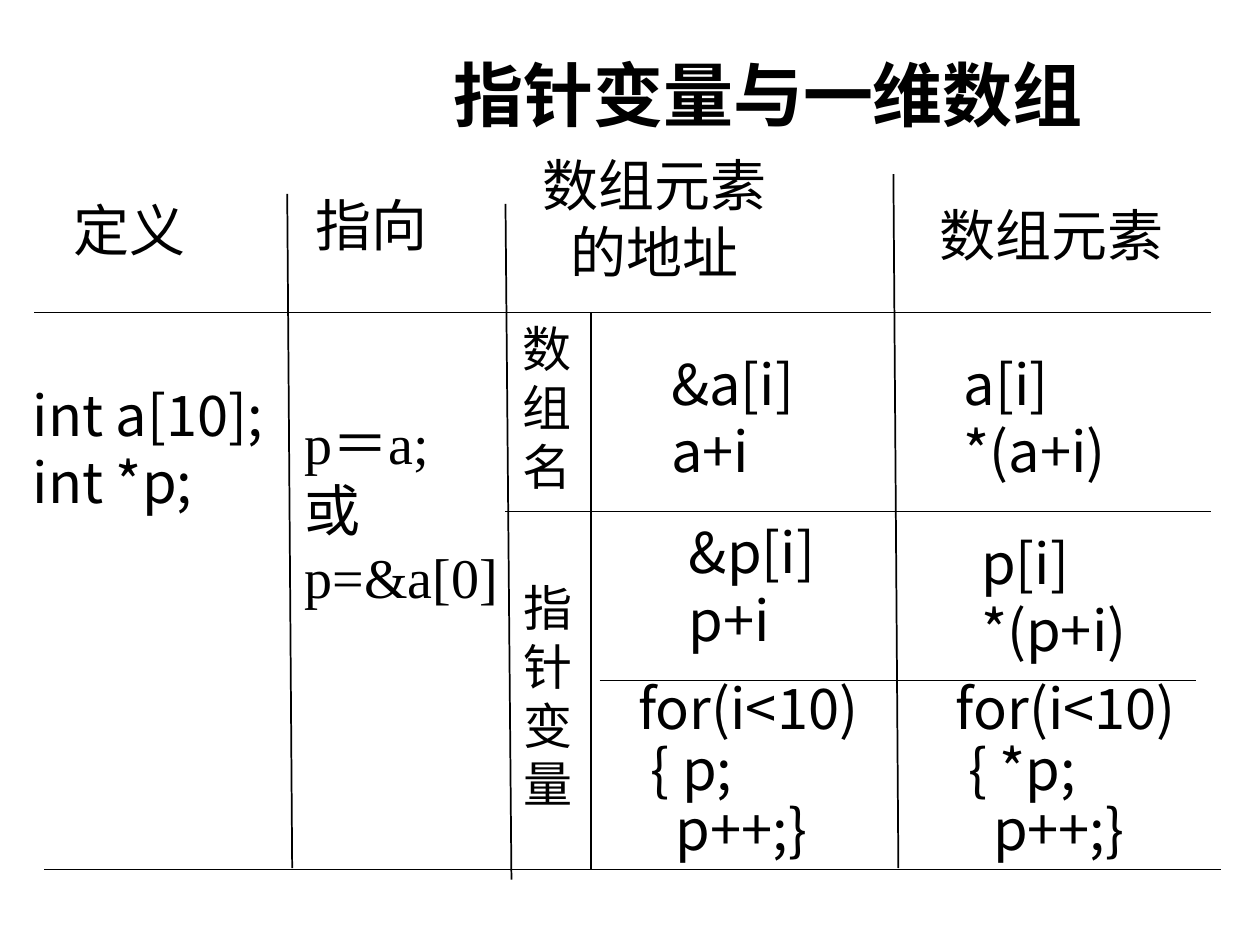
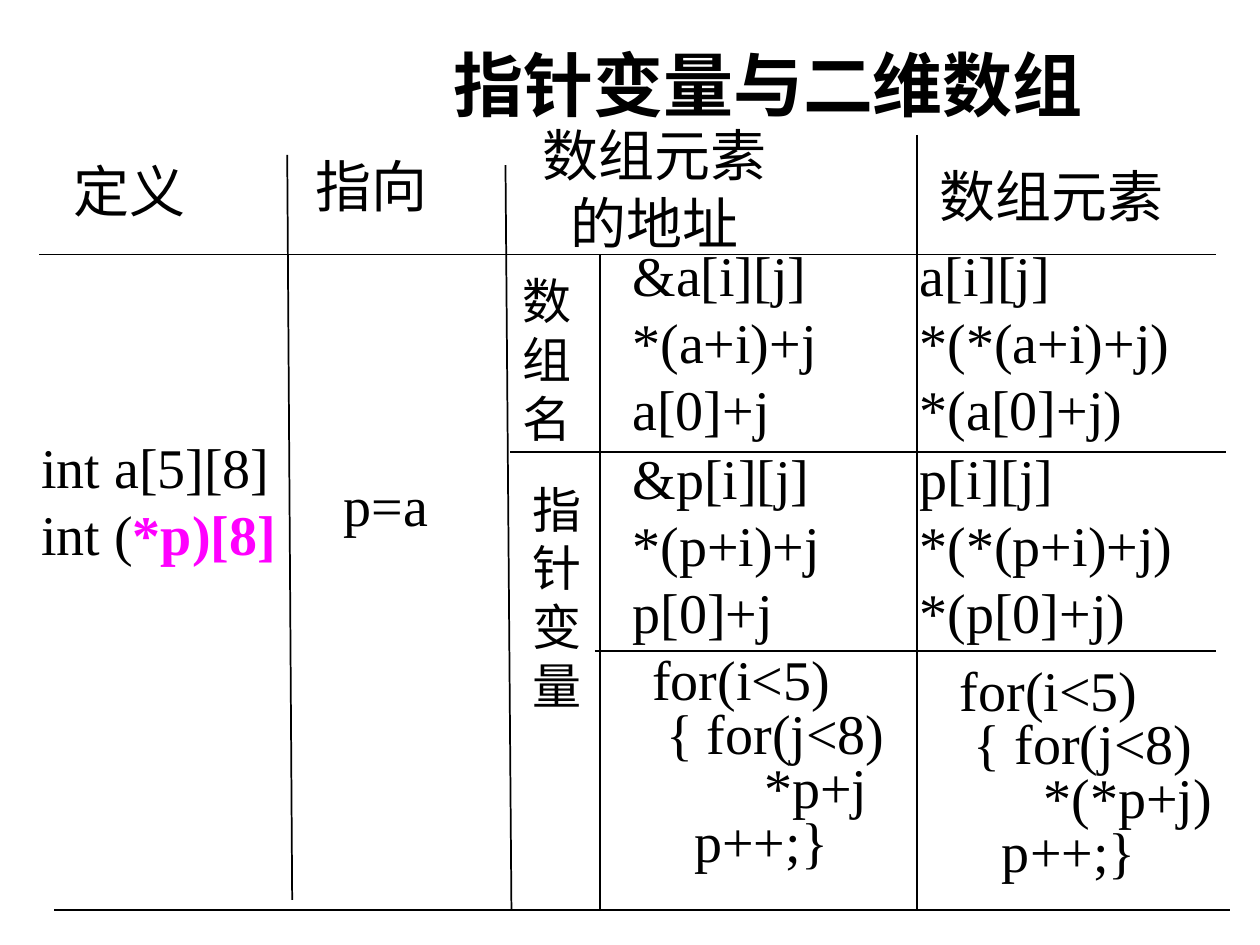
from dataclasses import dataclass

from lxml import etree
from pptx import Presentation
from pptx.dml.color import RGBColor
from pptx.enum.shapes import MSO_CONNECTOR
from pptx.enum.text import MSO_ANCHOR, MSO_AUTO_SIZE, PP_ALIGN
from pptx.oxml.ns import qn
from pptx.util import Cm, Pt

STRAIGHT = MSO_CONNECTOR.STRAIGHT
TOP = MSO_ANCHOR.TOP
FIXED = MSO_AUTO_SIZE.NONE
LEFT, CENTER = PP_ALIGN.LEFT, PP_ALIGN.CENTER


@dataclass(frozen=True)
class Theme:
    ink: RGBColor = RGBColor(0, 0, 0)
    accent: RGBColor = RGBColor(255, 0, 255)
    serif: str = "Times New Roman"
    sans: str = "Noto Sans CJK SC"
    title_size: int = 40
    body_size: int = 32
    label_size: int = 28
    rule_width: int = 1


theme = Theme()


def write(box, text, left, top, width, height=None, font=theme.serif, size=theme.body_size,
          bold=False, align=LEFT, wrap=False, spacing=1.0, indents=None, accent=""):
    lines = text.split("\n")
    box.left, box.top, box.width = Cm(left), Cm(top), Cm(width)
    box.height = Cm(height or round(0.25 + 0.0425 * size * spacing * len(lines), 2))
    frame = box.text_frame
    frame.word_wrap, frame.auto_size, frame.vertical_anchor = wrap, FIXED, TOP
    frame.margin_left = frame.margin_right = Cm(0.25)
    frame.margin_top = frame.margin_bottom = Cm(0.13)
    for number, line in enumerate(lines):
        para = frame.paragraphs[0] if number == 0 else frame.add_paragraph()
        para.alignment, para.line_spacing = align, spacing
        if indents:
            para._p.get_or_add_pPr().set("marL", str(Cm(indents[number])))
        marked = accent if accent and line.endswith(accent) else ""
        for part in filter(None, (line.removesuffix(marked), marked)):
            span = para.add_run()
            span.text = part
            span.font.name, span.font.size = font, Pt(size)
            span.font.bold = bold or part == marked
            span.font.color.rgb = theme.accent if part == marked else theme.ink
            east_asian = etree.SubElement(span._r.get_or_add_rPr(), qn("a:ea"))
            east_asian.set("typeface", theme.sans)


def draw_rule(page, *ends):
    rule = page.shapes.add_connector(STRAIGHT, *(Cm(end) for end in ends))
    rule.line.color.rgb = theme.ink
    rule.line.width = Pt(theme.rule_width)
    etree.SubElement(rule._element.spPr, qn("a:effectLst"))


sans = {"font": theme.sans}
sans_loop = {"font": theme.sans, "spacing": 0.9, "indents": (0, 0.25, 0.75)}
serif_loop = {"spacing": 0.8}
label = {"size": theme.label_size, "wrap": True}

pages = [
    {
        "title": "指针变量与一维数组",
        "title_top": 0.91,
        "header_tops": (3.81, 3.71, 2.9, 3.91),
        "rules": [
            (0.69, 6.3, 24.41, 6.3),
            (5.79, 3.91, 5.89, 17.5),
            (10.19, 4.11, 10.31, 17.73),
            (18.01, 3.51, 18.11, 17.5),
            (10.19, 10.31, 24.41, 10.31),
            (11.91, 6.3, 11.91, 17.53),
            (12.09, 13.72, 24.1, 13.72),
            (0.89, 17.53, 24.61, 17.53),
        ],
        "cells": [
            ("int a[10];\nint *p;", 0.41, 7.54, 5.16, sans),
            ("p＝a;\n或\np=&a[0]", 5.89, 8.1, 4.39, {}),
            ("数组名", 10.29, 6.3, 1.4, {**label, "height": 3.81}),
            ("指针变量", 10.31, 11.51, 1.4, {**label, "height": 5}),
            ("&a[i]\na+i", 13.28, 6.91, 2.97, sans),
            ("a[i]\n*(a+i)", 19.18, 6.91, 3.38, sans),
            ("&p[i]\np+i", 13.64, 10.31, 3.05, sans),
            ("p[i]\n*(p+i)", 19.53, 10.52, 3.43, sans),
            ("for(i<10)\n{ p;\np++;}", 12.62, 13.61, 4.95, sans_loop),
            ("for(i<10)\n{ *p;\np++;}", 19.02, 13.61, 4.95, sans_loop),
        ],
    },
    {
        "title": "指针变量与二维数组",
        "title_top": 0.71,
        "header_tops": (3.02, 2.92, 2.31, 3.12),
        "rules": [
            (0.79, 5.13, 24.51, 5.13),
            (5.79, 3.12, 5.89, 18.14),
            (10.19, 3.33, 10.31, 18.34),
            (18.49, 2.72, 18.49, 18.34),
            (10.29, 9.12, 24.71, 9.12),
            (12.09, 5.13, 12.09, 18.34),
            (11.99, 13.13, 24.51, 13.13),
            (1.09, 18.34, 24.79, 18.34),
        ],
        "cells": [
            ("int a[5][8]\nint (*p)[8]", 0.58, 8.59, 5.23, {"accent": "*p)[8]"}),
            ("p=a", 6.68, 9.35, 2.21, {}),
            ("数组名", 10.29, 5.33, 1.4, {**label, "height": 3.81}),
            ("指针变量", 10.49, 9.53, 1.4, {**label, "height": 5}),
            ("&a[i][j]\n*(a+i)+j\na[0]+j", 12.5, 4.72, 4.22, {}),
            ("a[i][j]\n*(*(a+i)+j)\n*(a[0]+j)", 18.29, 4.72, 5.54, {}),
            ("&p[i][j]\n*(p+i)+j\np[0]+j", 12.5, 8.81, 4.29, {}),
            ("p[i][j]\n*(*(p+i)+j)\n*(p[0]+j)", 18.29, 8.81, 5.61, {}),
            ("for(i<5)\n{ for(j<8)\n*p+j\np++;}", 12.9, 13.13, 5.21,
             {**serif_loop, "indents": (0, 0.28, 2.26, 0.85)}),
            ("for(i<5)\n{ for(j<8)\n*(*p+j)\np++;}", 19.1, 13.34, 5.59,
             {**serif_loop, "indents": (0, 0.28, 1.69, 0.85)}),
        ],
    },
]

headers = [
    ("定义", 1.24, 2.77),
    ("指向", 6.12, 2.77),
    ("数组元素\n的地址", 10.69, 5.03),
    ("数组元素", 18.69, 5.03),
]

deck = Presentation()
deck.slide_width, deck.slide_height = Cm(25.4), Cm(19.05)
title_only = deck.slide_layouts[5]

for content in pages:
    page = deck.slides.add_slide(title_only)
    write(page.shapes.title, content["title"], 8.89, content["title_top"], 13.61,
          size=theme.title_size, bold=True, wrap=True)
    for rule in content["rules"]:
        draw_rule(page, *rule)
    for (text, left, width), top in zip(headers, content["header_tops"]):
        box = page.shapes.add_textbox(0, 0, 0, 0)
        write(box, text, left, top, width, align=CENTER if "\n" in text else LEFT)
    for text, left, top, width, style in content["cells"]:
        box = page.shapes.add_textbox(0, 0, 0, 0)
        write(box, text, left, top, width, **style)

deck.save("out.pptx")
